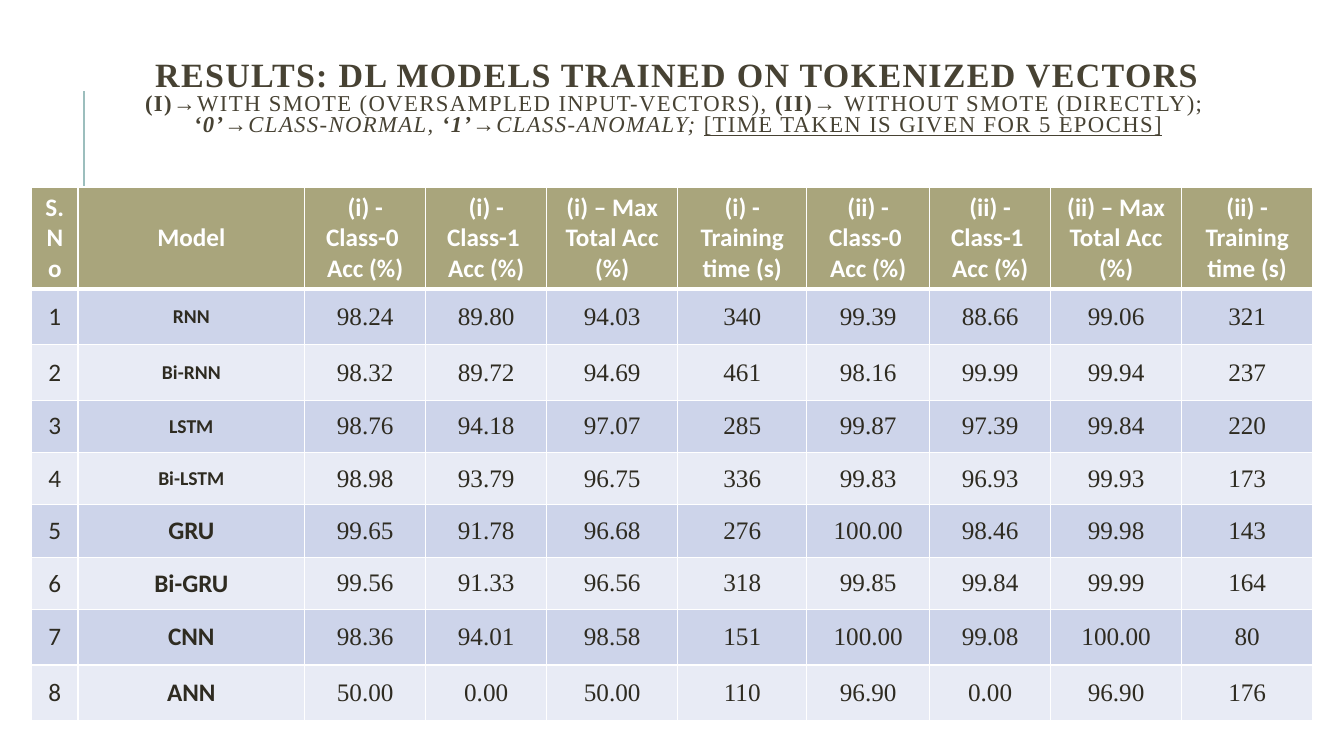
from copy import deepcopy

from lxml import etree
from pptx import Presentation
from pptx.dml.color import RGBColor
from pptx.enum.shapes import MSO_CONNECTOR
from pptx.enum.text import MSO_ANCHOR, MSO_AUTO_SIZE, PP_ALIGN
from pptx.oxml.ns import qn
from pptx.util import Pt

STRAIGHT = MSO_CONNECTOR.STRAIGHT
MIDDLE = MSO_ANCHOR.MIDDLE
CENTER = PP_ALIGN.CENTER
NO_AUTOFIT = MSO_AUTO_SIZE.NONE

WHITE = RGBColor(0xFF, 0xFF, 0xFF)
TITLE_BROWN = RGBColor(0x47, 0x42, 0x33)
BODY_BROWN = RGBColor(0x2E, 0x2B, 0x21)
HEADER_OLIVE = RGBColor(0xA9, 0xA5, 0x7C)
ODD_ROW = RGBColor(0xCD, 0xD4, 0xEA)
EVEN_ROW = RGBColor(0xE8, 0xEB, 0xF5)
RULE_TEAL = RGBColor(0x9C, 0xBE, 0xBD)

SERIF = "Times New Roman"
SANS = "Calibri"

HEADING = {"size": Pt(24.3), "bold": True}
KEY = {"size": Pt(16.2), "bold": True}
NOTE = {"size": Pt(16.2), "bold": False}
TITLE_LINES = [
    [("RESULTS: DL MODELS TRAINED ON TOKENIZED VECTORS", HEADING)],
    [("(I)", KEY), ("→WITH SMOTE (OVERSAMPLED INPUT-VECTORS), ", NOTE),
     ("(II)", KEY), ("→ WITHOUT SMOTE (DIRECTLY); ", NOTE)],
    [("‘0’", KEY | {"italic": True}), ("→CLASS-NORMAL, ", NOTE | {"italic": True}),
     ("‘1’", KEY | {"italic": True}), ("→CLASS-ANOMALY; ", NOTE | {"italic": True}),
     ("[TIME TAKEN IS GIVEN FOR 5 EPOCHS]", NOTE | {"underline": True})],
]

HEADERS = ["S.No", "Model"] + [
    f"({setup}) {measure}"
    for setup in ("i", "ii")
    for measure in ("- Class-0 \nAcc (%)", "- Class-1 \nAcc (%)",
                    "– Max Total Acc (%)", "- Training time (s)")
]
RESULTS = [
    ("RNN", "98.24", "89.80", "94.03", "340", "99.39", "88.66", "99.06", "321"),
    ("Bi-RNN", "98.32", "89.72", "94.69", "461", "98.16", "99.99", "99.94", "237"),
    ("LSTM", "98.76", "94.18", "97.07", "285", "99.87", "97.39", "99.84", "220"),
    ("Bi-LSTM", "98.98", "93.79", "96.75", "336", "99.83", "96.93", "99.93", "173"),
    ("GRU", "99.65", "91.78", "96.68", "276", "100.00", "98.46", "99.98", "143"),
    ("Bi-GRU", "99.56", "91.33", "96.56", "318", "99.85", "99.84", "99.99", "164"),
    ("CNN", "98.36", "94.01", "98.58", "151", "100.00", "99.08", "100.00", "80"),
    ("ANN", "50.00", "0.00", "50.00", "110", "96.90", "0.00", "96.90", "176"),
]
SMALL_NAMES = {"RNN", "Bi-RNN", "LSTM", "Bi-LSTM"}
COLUMN_WIDTHS = [33.1, 162, 86.4, 86.4, 93.6, 92.2, 87.8, 86.4, 93.6, 93.6]
ROW_HEIGHTS = [72.7, 39.6, 39.6, 37.4, 37.4, 37.4, 37.4, 39.6, 39.6]


def apply_font(font, color, **values):
    font.color.rgb = color
    for name, value in values.items():
        setattr(font, name, value)


class ResultsSlide:
    def __init__(self, deck):
        self.slide = deck.slides.add_slide(deck.slide_layouts[5])

    def title(self, lines, left, top, width, height):
        title = self.slide.shapes.title
        title.left, title.top = Pt(left), Pt(top)
        title.width, title.height = Pt(width), Pt(height)
        frame = title.text_frame
        frame.word_wrap = True
        frame.auto_size = NO_AUTOFIT
        frame.vertical_anchor = MIDDLE
        paragraph = frame.paragraphs[0]
        paragraph.alignment = CENTER
        paragraph.line_spacing = 0.8
        paragraph._p.get_or_add_pPr().set("marL", str(Pt(8.64)))
        for number, line in enumerate(lines):
            if number:
                paragraph.add_line_break()
                # The break keeps the size of the line it ends
                paragraph._p[-1].append(deepcopy(run._r.rPr))
            for text, style in line:
                run = paragraph.add_run()
                run.text = text
                apply_font(run.font, TITLE_BROWN, name=SERIF, **style)
                run._r.rPr.set("spc", "100")

    def line(self, x1, y1, x2, y2, color, weight):
        line = self.slide.shapes.add_connector(STRAIGHT, Pt(x1), Pt(y1), Pt(x2), Pt(y2))
        line.line.color.rgb = color
        line.line.width = Pt(weight)
        etree.SubElement(line._element.spPr, qn("a:effectLst"))

    def table(self, rows, left, top, widths, heights):
        table = self.slide.shapes.add_table(
            len(rows), len(widths), Pt(left), Pt(top), Pt(sum(widths)), Pt(sum(heights))
        ).table
        for column, width in zip(table.columns, widths):
            column.width = Pt(width)
        for row, height in zip(table.rows, heights):
            row.height = Pt(height)
        for r, row in enumerate(rows):
            for c, text in enumerate(row):
                self.cell(table.cell(r, c), text, r, c)

    def cell(self, cell, text, row, column):
        is_header = row == 0
        self.borders(cell, top=3 if row == 1 else 1, bottom=3 if is_header else 1)
        cell.fill.solid()
        cell.fill.fore_color.rgb = (
            HEADER_OLIVE if is_header else ODD_ROW if row % 2 else EVEN_ROW
        )
        cell.vertical_anchor = MIDDLE
        cell.text = text
        for paragraph in cell.text_frame.paragraphs:
            paragraph.alignment = CENTER
            apply_font(
                paragraph.runs[0].font,
                WHITE if is_header else BODY_BROWN,
                name=SANS if is_header or column < 2 else SERIF,
                size=Pt(14 if text in SMALL_NAMES else 18),
                bold=is_header or column == 1,
            )

    def borders(self, cell, top, bottom):
        properties = cell._tc.get_or_add_tcPr()
        for side, weight in {"L": 1, "R": 1, "T": top, "B": bottom}.items():
            border = etree.SubElement(properties, qn(f"a:ln{side}"), w=str(Pt(weight)))
            fill = etree.SubElement(border, qn("a:solidFill"))
            etree.SubElement(fill, qn("a:srgbClr"), val=str(WHITE))


def main():
    deck = Presentation()
    deck.slide_width, deck.slide_height = Pt(960), Pt(540)
    results = ResultsSlide(deck)
    results.line(60, 136.8, 60, 64.8, RULE_TEAL, 1.5)
    results.title(TITLE_LINES, 74.9, 26.6, 810, 88.6)
    numbered = [(str(number), *result) for number, result in enumerate(RESULTS, 1)]
    results.table([HEADERS, *numbered], 22.6, 133.5, COLUMN_WIDTHS, ROW_HEIGHTS)
    deck.save("out.pptx")


if __name__ == "__main__":
    main()
